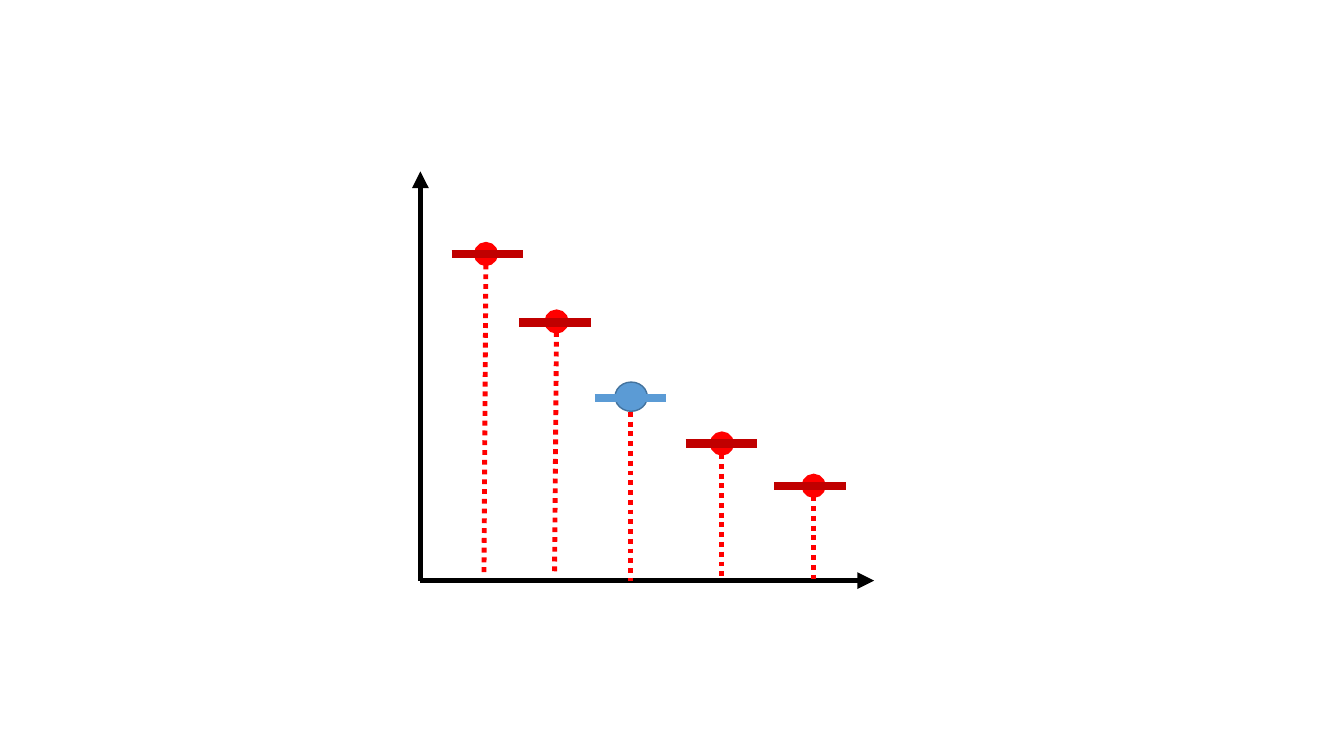
from lxml.etree import SubElement
from pptx import Presentation
from pptx.dml.color import RGBColor
from pptx.enum.dml import MSO_LINE
from pptx.enum.shapes import MSO_CONNECTOR, MSO_SHAPE
from pptx.oxml.ns import qn
from pptx.util import Inches, Pt

COLORS = {"axis": "000000", "stem": "FF0000", "bar": "C00000",
          "mid": "5B9BD5", "edge": "43739E"}
AXIS = {"width": Pt(4)}
STEM = {"width": Pt(3.5), "dash_style": MSO_LINE.ROUND_DOT}
BAR = {"width": Pt(6)}
ORIGIN = (4.17, 5.76)
BAR_LEN = 0.71

# stem top, stem foot, left end of the bar
RED_STEPS = [
    ((4.82, 2.52), (4.8, 5.71), (4.48, 2.52)),
    ((5.52, 3.19), (5.5, 5.71), (5.15, 3.2)),
    ((7.16, 4.4), (7.16, 5.76), (6.8, 4.4)),
    ((8.07, 4.82), (8.07, 5.79), (7.68, 4.82)),
]


def color(name):
    return RGBColor.from_string(COLORS[name])


def add_line(slide, start, end, name, style):
    ends = [Inches(v) for v in (*start, *end)]
    line = slide.shapes.add_connector(MSO_CONNECTOR.STRAIGHT, *ends)
    SubElement(line._element.spPr, qn("a:effectLst"))
    line.line.color.rgb = color(name)
    for key, value in style.items():
        setattr(line.line, key, value)
    return line


def add_end(line, tag, kind, size):
    """Put an arrowhead or dot on the start (headEnd) or end (tailEnd)."""
    SubElement(line.line._get_or_add_ln(), qn(f"a:{tag}"),
               type=kind, w=size, len=size)


def add_axis(slide, tip):
    axis = add_line(slide, ORIGIN, tip, "axis", AXIS)
    add_end(axis, "tailEnd", "triangle", "med")


def add_bar(slide, left, name):
    x, y = left
    add_line(slide, left, (x + BAR_LEN, y), name, BAR)


def add_dot(slide, x, y, width, height):
    box = [Inches(v) for v in (x, y, width, height)]
    dot = slide.shapes.add_shape(MSO_SHAPE.OVAL, *box)
    dot.shadow.inherit = False
    dot.fill.solid()
    dot.fill.fore_color.rgb = color("mid")
    dot.line.color.rgb = color("edge")
    dot.line.width = Pt(1)


def main():
    deck = Presentation()
    deck.slide_width, deck.slide_height = Inches(13.33), Inches(7.5)
    slide = deck.slides.add_slide(deck.slide_layouts[6])

    for tip in ((8.67, 5.76), (4.17, 1.7)):
        add_axis(slide, tip)
    for top, foot, _ in RED_STEPS:
        stem = add_line(slide, top, foot, "stem", STEM)
        add_end(stem, "headEnd", "oval", "lg")
    add_line(slide, (6.25, 3.99), (6.25, 5.76), "stem", STEM)
    for _, _, left in RED_STEPS:
        add_bar(slide, left, "bar")
    add_dot(slide, 6.1, 3.79, 0.32, 0.29)
    add_bar(slide, (5.9, 3.95), "mid")

    deck.save("out.pptx")


if __name__ == "__main__":
    main()
